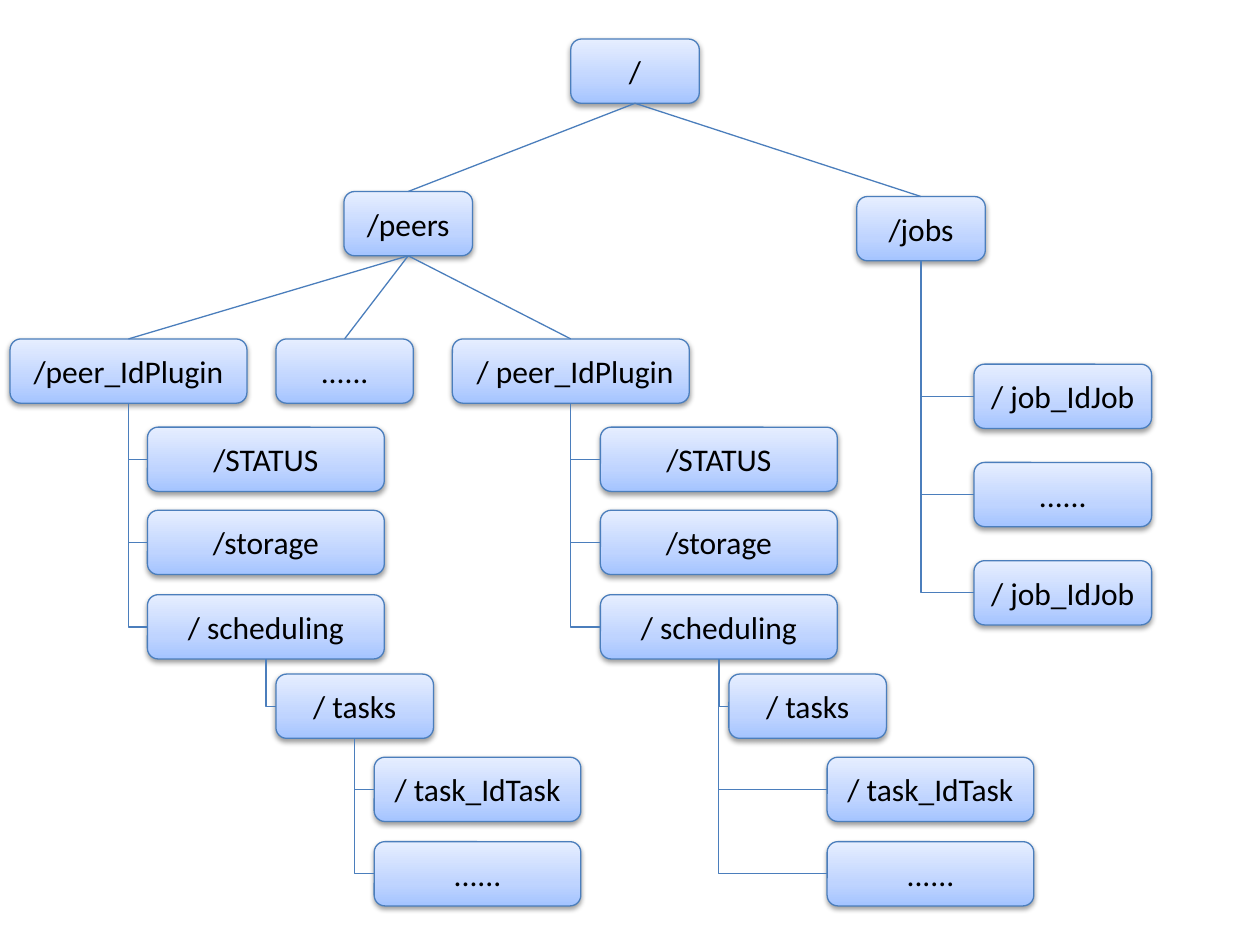
from pptx import Presentation
from pptx.dml.color import RGBColor
from pptx.enum.shapes import MSO_CONNECTOR as CONN, MSO_SHAPE as SHAPE
from pptx.enum.text import MSO_ANCHOR as ANCHOR, PP_ALIGN as ALIGN
from pptx.oxml import parse_xml
from pptx.oxml.ns import nsdecls, qn
from pptx.util import Inches, Pt

THEME = {
    "font": "Calibri", "size": 18, "text": "000000",
    "line": "4B7EBC", "line_width": 0.75, "shadow": "000000",
    "gradient": [(0, "A4C4FF"), (35, "BFD4FF"), (100, "E6EEFF")],
}
BOX_H = 0.51
TOP, LEFT, BOTTOM = 0, 1, 2

TRUNK = [
    ("root", "/", 4.53, 0.31, 1.02, None),
    ("peers", "/peers", 2.73, 1.52, 1.02, "root"),
    ("jobs", "/jobs", 6.8, 1.56, 1.02, "root"),
    ("first", "/peer_IdPlugin", 0.08, 2.69, 1.88, "peers"),
    ("more", "......", 2.19, 2.69, 1.09, "peers"),
    ("last", "/ peer_IdPlugin", 3.59, 2.69, 1.88, "peers"),
]
JOBS = ["/ job_IdJob", "......", "/ job_IdJob"]
JOB_TOP, JOB_STEP = 2.89, 0.78
PEER_BRANCH = [
    ("status", "/STATUS", 0, 3.39, 1.88),
    ("storage", "/storage", 0, 4.05, 1.88),
    ("scheduling", "/ scheduling", 0, 4.72, 1.88),
    ("tasks", "/ tasks", 1.02, 5.35, 1.25),
    ("task", "/ task_IdTask", 1.8, 6.01, 1.64),
    ("more", "......", 1.8, 6.68, 1.64),
]
PEERS = [("first", 1.17, "tasks"), ("last", 4.765, "scheduling")]
RIGHT_ALIGNED = {"last"}


def branch_nodes():
    for i, text in enumerate(JOBS):
        yield f"job{i}", text, 7.73, JOB_TOP + i * JOB_STEP, 1.41, "jobs"
    for peer, left, task_parent in PEERS:
        parents = {"tasks": "scheduling", "task": task_parent, "more": task_parent}
        for key, text, indent, top, width in PEER_BRANCH:
            parent = f"{peer}.{parents[key]}" if key in parents else peer
            yield f"{peer}.{key}", text, left + indent, top, width, parent


def style_line(line):
    line.color.rgb = RGBColor.from_string(THEME["line"])
    line.width = Pt(THEME["line_width"])


def add_node(s, key, text, left, top, width):
    sp = s.shapes.add_shape(SHAPE.ROUNDED_RECTANGLE, Inches(left), Inches(top),
                            Inches(width), Inches(BOX_H))
    stops = "".join(f'<a:gs pos="{pos * 1000}"><a:srgbClr val="{color}"/></a:gs>'
                    for pos, color in THEME["gradient"])
    props = sp._element.spPr
    props.append(parse_xml(
        f'<a:gradFill {nsdecls("a")} rotWithShape="1"><a:gsLst>{stops}</a:gsLst>'
        '<a:lin ang="16200000" scaled="0"/></a:gradFill>'))
    style_line(sp.line)
    sp.shadow.inherit = False
    props.find(qn("a:effectLst")).append(parse_xml(
        f'<a:outerShdw {nsdecls("a")} blurRad="{Pt(3.1)}" dist="{Pt(1.6)}" '
        f'dir="5400000" rotWithShape="0"><a:srgbClr val="{THEME["shadow"]}">'
        '<a:alpha val="38000"/></a:srgbClr></a:outerShdw>'))
    tf = sp.text_frame
    tf.word_wrap = True
    tf.vertical_anchor = ANCHOR.MIDDLE
    p = tf.paragraphs[0]
    p.alignment = ALIGN.RIGHT if key in RIGHT_ALIGNED else ALIGN.CENTER
    r = p.add_run()
    r.text = text
    r.font.name = THEME["font"]
    r.font.size = Pt(THEME["size"])
    r.font.color.rgb = RGBColor.from_string(THEME["text"])
    return sp


def turn_down_then_right(c):
    left, top, width, height = c.left, c.top, c.width, c.height
    c.left = left + (width - height) // 2
    c.top = top + (height - width) // 2
    c.width, c.height = height, width
    props = c._element.spPr
    props.find(qn("a:prstGeom")).set("prst", "bentConnector2")
    xfrm = props.find(qn("a:xfrm"))
    xfrm.set("rot", "16200000")
    xfrm.set("flipH", "1")


def add_link(s, parent, child, bent):
    c = s.shapes.add_connector(CONN.ELBOW if bent else CONN.STRAIGHT, 0, 0, 0, 0)
    c.begin_connect(parent, BOTTOM)
    c.end_connect(child, LEFT if bent else TOP)
    if bent:
        turn_down_then_right(c)
    style_line(c.line)
    c._element.spPr.append(parse_xml(f'<a:effectLst {nsdecls("a")}/>'))


def main():
    prs = Presentation()
    prs.slide_width, prs.slide_height = Inches(10), Inches(7.5)
    s = prs.slides.add_slide(prs.slide_layouts[6])
    nodes = {}
    for group, bent in ((TRUNK, False), (branch_nodes(), True)):
        for key, text, left, top, width, parent in group:
            nodes[key] = add_node(s, key, text, left, top, width)
            if parent:
                add_link(s, nodes[parent], nodes[key], bent)
    prs.save("out.pptx")


if __name__ == "__main__":
    main()
